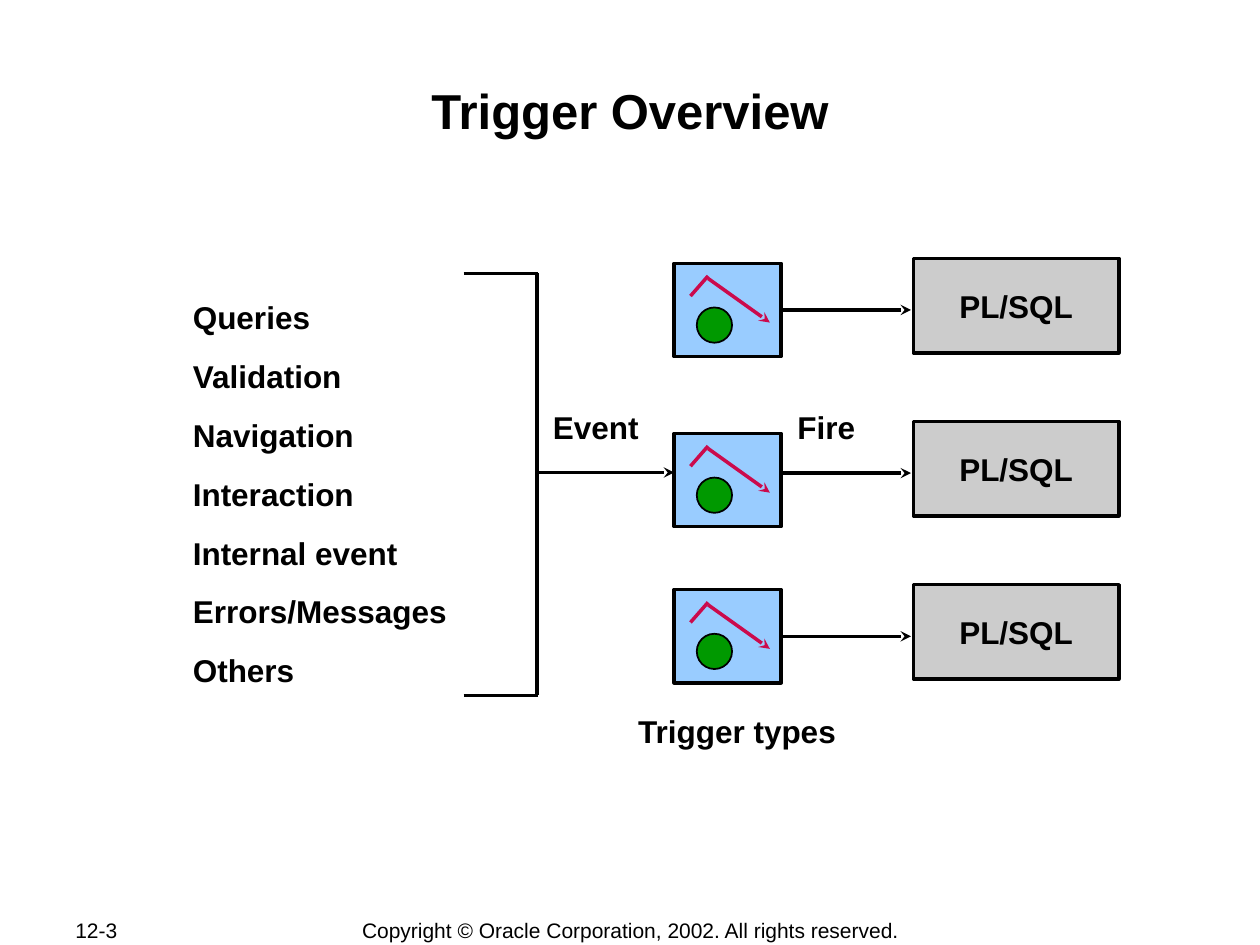
from lxml import etree
from pptx import Presentation
from pptx.dml.color import RGBColor
from pptx.enum import shapes, text
from pptx.oxml.ns import qn
from pptx.util import Inches, Pt

BLACK = RGBColor(0x00, 0x00, 0x00)
GRAY = RGBColor(0xCC, 0xCC, 0xCC)
BLUE = RGBColor(0x99, 0xCC, 0xFF)
GREEN = RGBColor(0x00, 0x99, 0x00)
CRIMSON = RGBColor(0xCB, 0x0A, 0x4C)

EVENTS = ["Queries", "Validation", "Navigation", "Interaction",
          "Internal event", "Errors/Messages", "Others"]
LEFT, CENTER = text.PP_ALIGN.LEFT, text.PP_ALIGN.CENTER
TOP, MIDDLE = text.MSO_ANCHOR.TOP, text.MSO_ANCHOR.MIDDLE


def write(shape, words, size=18, bold=True, align=LEFT, anchor=TOP,
          wrap=True, margin=(0.1, 0.05), gap=0):
    """Fill a shape with one paragraph per line, spaced by gap points."""
    frame = shape.text_frame
    frame.text = words
    frame.word_wrap = wrap
    frame.vertical_anchor = anchor
    frame.margin_left = frame.margin_right = Inches(margin[0])
    frame.margin_top = frame.margin_bottom = Inches(margin[1])
    for index, para in enumerate(frame.paragraphs):
        para.alignment = align
        para.space_before = Pt(gap if index else 0)
        for span in para.runs:
            span.font.name = "Arial"
            span.font.size = Pt(size)
            span.font.bold = bold
            span.font.color.rgb = BLACK


def add_label(page, box, words, **style):
    write(page.shapes.add_textbox(*map(Inches, box)), words, **style)


def add_block(parent, kind, box, fill, weight=2):
    block = parent.shapes.add_shape(kind, *map(Inches, box))
    block.shadow.inherit = False
    block.fill.solid()
    block.fill.fore_color.rgb = fill
    block.line.color.rgb = BLACK
    block.line.width = Pt(weight)
    return block


def add_line(parent, start, end, color=BLACK, arrow=False):
    line = parent.shapes.add_connector(
        shapes.MSO_CONNECTOR.STRAIGHT, *map(Inches, (*start, *end)))
    line.line.color.rgb = color
    line.line.width = Pt(2)
    properties = line._element.spPr
    if arrow:
        etree.SubElement(properties.find(qn("a:ln")), qn("a:tailEnd"), type="stealth")
    etree.SubElement(properties, qn("a:effectLst"))


def add_title(page, box):
    title = page.shapes.title
    title.left, title.top, title.width, title.height = map(Inches, box)
    write(title, "Trigger Overview", size=28, align=CENTER, margin=(0.01, 0.01))


def add_event_list(page, box):
    """List the events, with a bracket that closes them on the right."""
    left, top, width, height = box
    add_label(page, (left, top, 2.72, 3.13), "\n".join(EVENTS),
              margin=(0.09, 0.05), gap=12)
    right, upper, lower = left + width, top - 0.15, top + height
    for y in (upper, lower):
        add_line(page, (right - 0.58, y), (right + 0.01, y))
    add_line(page, (right, lower), (right, upper))


def add_trigger(page, box):
    """Draw the trigger icon: a ball under a bent arrow."""
    left, top, width, height = box
    icon = page.shapes.add_group_shape()
    add_block(icon, shapes.MSO_SHAPE.RECTANGLE, box, BLUE)
    add_block(icon, shapes.MSO_SHAPE.OVAL, (left + 0.18, top + 0.35, 0.28, 0.28),
              GREEN, weight=1)
    bend = left + 0.27
    add_line(icon, (bend, top + 0.1), (left + 0.13, top + 0.26), CRIMSON)
    add_line(icon, (bend, top + 0.12), (left + 0.76, top + 0.47), CRIMSON, arrow=True)


def add_code_block(page, box):
    block = add_block(page, shapes.MSO_SHAPE.RECTANGLE, box, GRAY)
    write(block, "PL/SQL", align=CENTER, anchor=MIDDLE, wrap=False)


def add_firing_rows(page, box):
    """Stack three rows, each a trigger that fires a code block."""
    left, top, width, _ = box
    for row, icon_top in enumerate((2.09, 3.44, 4.68)):
        row_top = top + row * 1.295
        arrow_y = row_top + 0.41
        add_line(page, (left + 0.73, arrow_y), (left + 1.88, arrow_y), arrow=True)
        add_trigger(page, (left, icon_top, 0.85, 0.74))
        add_code_block(page, (left + width - 1.63, row_top, 1.63, 0.75))


def add_footer(page, box):
    left, top, width, height = box
    style = dict(size=12, bold=False, anchor=MIDDLE, wrap=False)
    add_label(page, (left, top, 1.06, height), "12-3", **style)
    add_label(page, (left + 2.26, top, 4.49, height),
              "Copyright © Oracle Corporation, 2002. All rights reserved.",
              align=CENTER, **style)


def main():
    deck = Presentation()
    deck.slide_width, deck.slide_height = Inches(10), Inches(7.5)
    page = deck.slides.add_slide(deck.slide_layouts[5])
    add_title(page, (1, 0.63, 8, 0.96))
    add_event_list(page, (1.44, 2.32, 2.82, 3.2))
    add_line(page, (4.25, 3.75), (5.35, 3.75), arrow=True)
    add_firing_rows(page, (5.35, 2.05, 3.53, 3.34))
    add_label(page, (4.29, 3.19, 0.88, 0.4), "Event", wrap=False)
    add_label(page, (6.23, 3.19, 0.66, 0.4), "Fire", wrap=False)
    add_label(page, (4.92, 5.6, 1.86, 0.39), "Trigger types",
              align=CENTER, margin=(0.09, 0.05))
    add_footer(page, (0.5, 7.28, 9, 0.21))
    deck.save("out.pptx")


if __name__ == "__main__":
    main()
